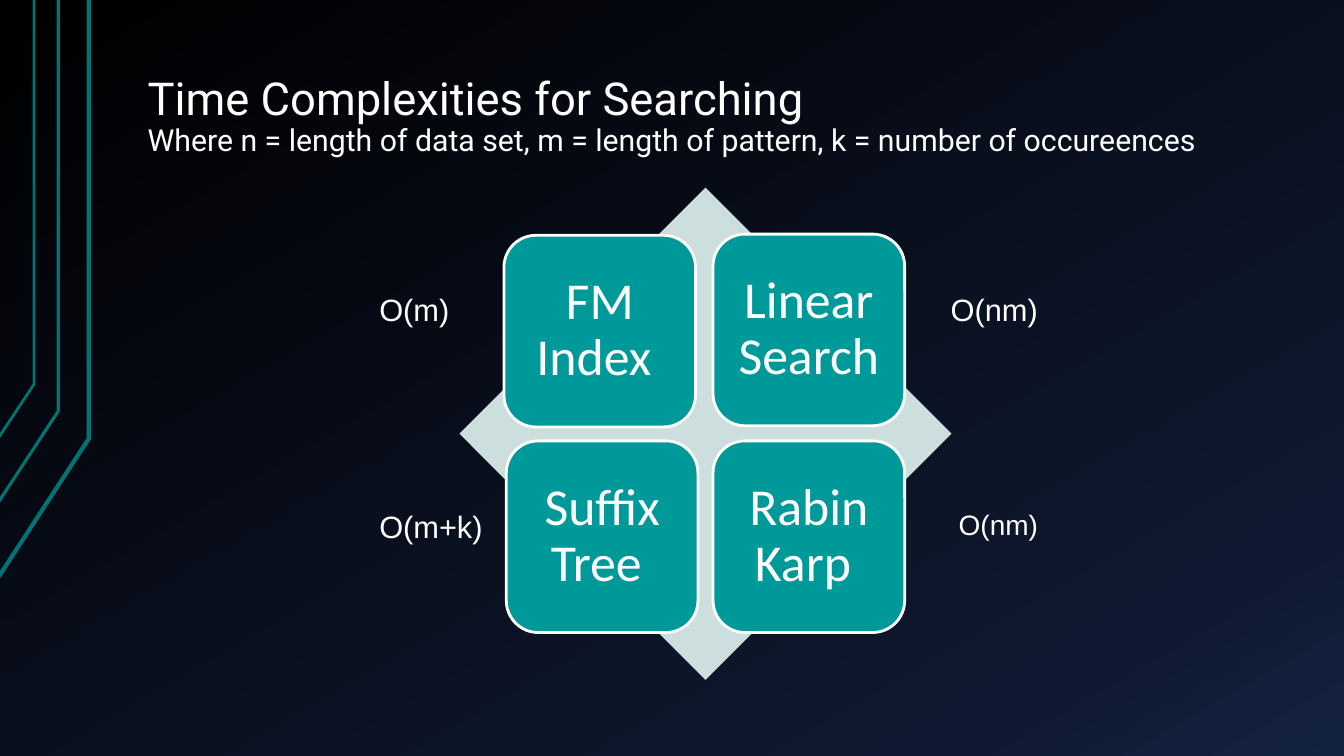
from copy import deepcopy
from dataclasses import dataclass

from pptx import Presentation
from pptx.dml.color import RGBColor
from pptx.enum.shapes import MSO_SHAPE
from pptx.enum.text import MSO_ANCHOR, MSO_AUTO_SIZE, PP_ALIGN
from pptx.shapes.autoshape import Shape
from pptx.slide import Slide
from pptx.text.text import TextFrame
from pptx.util import Cm, Pt


@dataclass(frozen=True)
class Theme:
    white: str = "FFFFFF"
    tile: str = "009999"
    diamond: str = "CCDEDE"
    trace: str = "007373"
    gradient: tuple[tuple[float, str], ...] = ((0, "000000"), (0.85, "0F1931"), (1, "142242"))
    title_font: str = "Roboto"
    tile_font: str = "Calibri"
    label_font: str = "Arial"
    title_size: float = 32.4
    subtitle_size: float = 21.6
    tile_size: float = 37
    label_size: float = 22
    small_label_size: float = 20


THEME = Theme()


@dataclass(frozen=True)
class Trace:
    """A line falling from the top edge, then bending to the left edge."""
    x: float
    bend_y: float
    end_x: float
    end_y: float
    weight: float


@dataclass(frozen=True)
class Tile:
    name: str
    left: float
    top: float


@dataclass(frozen=True)
class Label:
    text: str
    left: float
    top: float
    width: float
    height: float
    size: float = THEME.label_size


TRACES = (
    Trace(2.24, 11.05, -0.03, 14.53, 3),
    Trace(1.47, 10.36, -0.05, 12.67, 2.25),
    Trace(0.86, 9.68, -0.03, 11.02, 2),
)
TILE_SIDE = 4.83
TILES = (
    Tile("FM Index ", 12.7, 5.93),
    Tile("Linear Search", 17.97, 5.9),
    Tile("Suffix Tree ", 12.76, 11.11),
    Tile("Rabin Karp ", 17.97, 11.11),
)
LABELS = (
    Label("O(m+k)", 9.31, 12.66, 5.38, 1.19),
    Label("O(nm)", 23.91, 12.66, 3.18, 1.12, THEME.small_label_size),
    Label("O(m)", 9.31, 7.19, 6.99, 1.19),
    Label("O(nm)", 23.71, 7.19, 3.18, 2.39),
)


def color(value: str) -> RGBColor:
    return RGBColor.from_string(value)


def add_text(frame: TextFrame, text: str, *, font: str, size: float,
             align: PP_ALIGN = PP_ALIGN.LEFT, spacing: float = 1.0) -> None:
    """Append a run to the first paragraph of the frame."""
    paragraph = frame.paragraphs[0]
    paragraph.alignment = align
    paragraph.line_spacing = spacing
    run = paragraph.add_run()
    run.text = text
    run.font.name = font
    run.font.size = Pt(size)
    run.font.color.rgb = color(THEME.white)


def set_insets(frame: TextFrame, horizontal: float, vertical: float) -> None:
    frame.margin_left = frame.margin_right = Cm(horizontal)
    frame.margin_top = frame.margin_bottom = Cm(vertical)


def paint_background(slide: Slide) -> None:
    fill = slide.background.fill
    fill.gradient()
    fill.gradient_angle = 300
    stop_list = slide.element.xpath(".//p:bg//a:gsLst")[0]
    stop_list.append(deepcopy(stop_list[0]))
    for stop, (position, value) in zip(fill.gradient_stops, THEME.gradient):
        stop.position = position
        stop.color.rgb = color(value)


def add_trace(slide: Slide, trace: Trace) -> None:
    builder = slide.shapes.build_freeform(Cm(trace.end_x), Cm(trace.end_y))
    builder.add_line_segments(
        [(Cm(trace.x), Cm(trace.bend_y)), (Cm(trace.x), 0)], close=False)
    shape = builder.convert_to_shape()
    shape.shadow.inherit = False
    shape.fill.background()
    shape.line.color.rgb = color(THEME.trace)
    shape.line.width = Pt(trace.weight)


def add_title(slide: Slide) -> None:
    title = slide.shapes.title
    title.left, title.top, title.width, title.height = Cm(3.39), Cm(0.76), Cm(28.78), Cm(3.4)
    frame = title.text_frame
    frame.word_wrap = True
    frame.auto_size = MSO_AUTO_SIZE.NONE
    frame.vertical_anchor = MSO_ANCHOR.BOTTOM
    set_insets(frame, 0.33, 0.18)
    add_text(frame, "Time Complexities for Searching", font=THEME.title_font,
             size=THEME.title_size, spacing=0.9)
    frame.paragraphs[0].add_line_break()
    # The break takes the heading's format, so it does not stretch the first line.
    line_break = title.element.xpath(".//a:br")[0]
    line_break.append(deepcopy(title.element.xpath(".//a:r/a:rPr")[0]))
    add_text(frame,
             "Where n = length of data set, m = length of pattern, k = number of occureences",
             font=THEME.title_font, size=THEME.subtitle_size, spacing=0.9)


def add_square(slide: Slide, kind: MSO_SHAPE, left: float, top: float,
               side: float, fill: str) -> Shape:
    shape = slide.shapes.add_shape(kind, Cm(left), Cm(top), Cm(side), Cm(side))
    shape.shadow.inherit = False
    shape.fill.solid()
    shape.fill.fore_color.rgb = color(fill)
    shape.line.fill.background()
    return shape


def add_tile(slide: Slide, tile: Tile) -> None:
    shape = add_square(slide, MSO_SHAPE.ROUNDED_RECTANGLE, tile.left, tile.top,
                       TILE_SIDE, THEME.tile)
    shape.line.color.rgb = color(THEME.white)
    shape.line.width = Pt(2)
    frame = shape.text_frame
    frame.word_wrap = True
    frame.vertical_anchor = MSO_ANCHOR.MIDDLE
    set_insets(frame, 0.38, 0.38)
    add_text(frame, tile.name, font=THEME.tile_font, size=THEME.tile_size,
             align=PP_ALIGN.CENTER, spacing=0.9)


def add_label(slide: Slide, label: Label) -> None:
    box = slide.shapes.add_textbox(
        Cm(label.left), Cm(label.top), Cm(label.width), Cm(label.height))
    frame = box.text_frame
    frame.word_wrap = True
    add_text(frame, label.text, font=THEME.label_font, size=label.size)


def main() -> None:
    presentation = Presentation()
    presentation.slide_width, presentation.slide_height = Cm(33.87), Cm(19.05)
    slide = presentation.slides.add_slide(presentation.slide_layouts.get_by_name("Title Only"))
    paint_background(slide)
    for trace in TRACES:
        add_trace(slide, trace)
    add_title(slide)
    add_square(slide, MSO_SHAPE.DIAMOND, 11.58, 4.73, 12.4, THEME.diamond)
    for tile in TILES:
        add_tile(slide, tile)
    for label in LABELS:
        add_label(slide, label)
    presentation.save("out.pptx")


if __name__ == "__main__":
    main()
